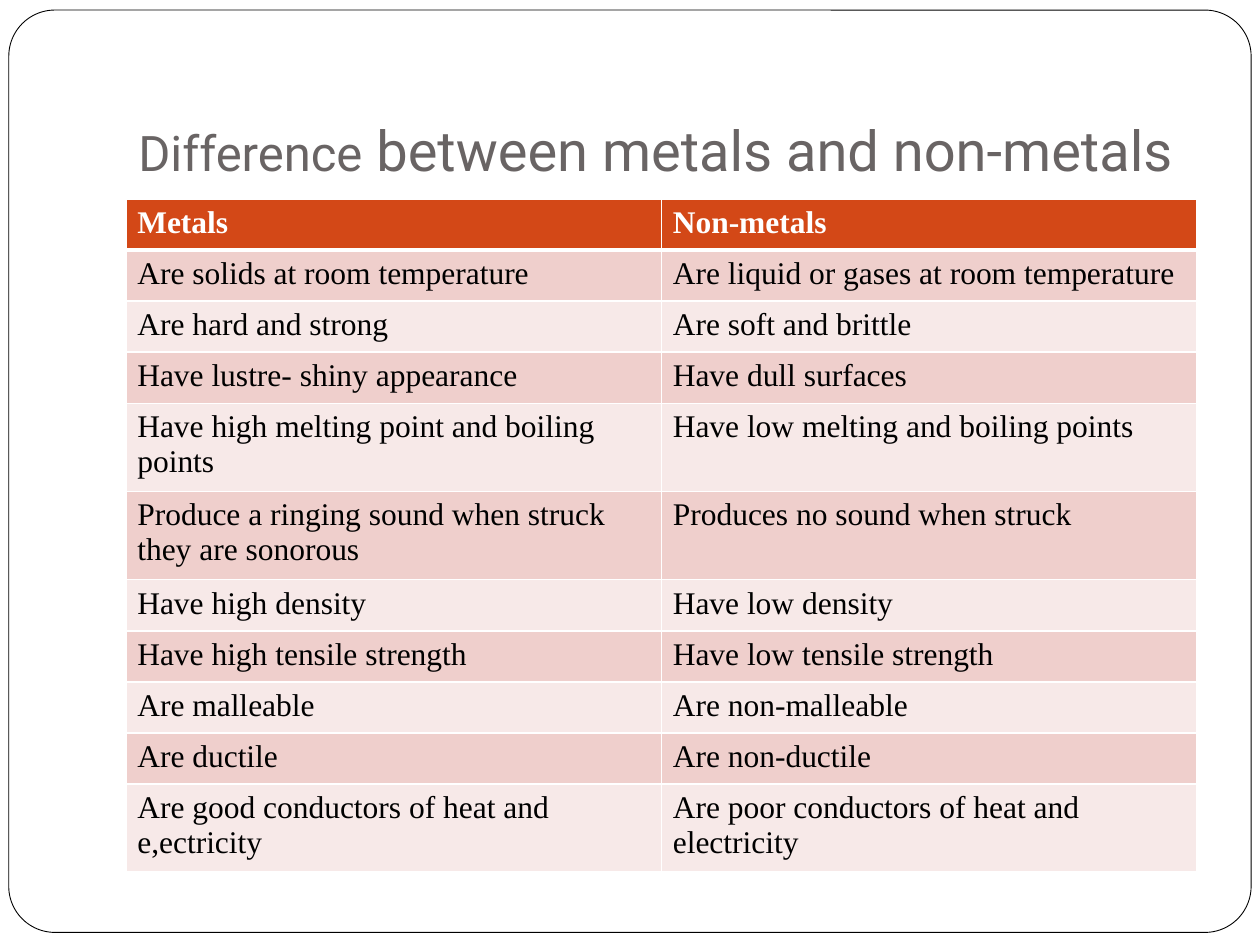
from lxml import etree
from pptx import Presentation
from pptx.dml.color import RGBColor
from pptx.enum.shapes import MSO_SHAPE
from pptx.enum.text import MSO_ANCHOR
from pptx.oxml.ns import qn
from pptx.util import Inches, Pt

ROUNDED = MSO_SHAPE.ROUNDED_RECTANGLE
BOTTOM = MSO_ANCHOR.BOTTOM

WHITE, BLACK, GREY = "FFFFFF", "000000", "696464"
HEADER_FILL = "D34817"
BAND_FILLS = ("F7E9E8", "EFCFCC")

TITLE_SPANS = [("Difference", 28), (" between metals and non-metals", 32)]
ROWS = [
    ("Metals", "Non-metals"),
    ("Are solids at room temperature", "Are liquid or gases at room temperature"),
    ("Are hard and strong", "Are soft and brittle"),
    ("Have lustre- shiny appearance", "Have dull surfaces"),
    ("Have high melting point and boiling points", "Have low melting and boiling points"),
    ("Produce a ringing sound when struck they are sonorous", "Produces no sound when struck"),
    ("Have high density", "Have low density"),
    ("Have high tensile strength", "Have low tensile strength"),
    ("Are malleable", "Are non-malleable"),
    ("Are ductile", "Are non-ductile"),
    ("Are good conductors of heat and e,ectricity", "Are poor conductors of heat and electricity"),
]


def color(hex_value):
    return RGBColor.from_string(hex_value)


def fill_solid(target, hex_value):
    target.fill.solid()
    target.fill.fore_color.rgb = color(hex_value)


def add_span(para, text, hex_value, **formats):
    span = para.add_run()
    span.text = text
    for name, value in formats.items():
        setattr(span.font, name, value)
    span.font.color.rgb = color(hex_value)


def add_frame(slide):
    frame = slide.shapes.add_shape(
        ROUNDED, Inches(0.07), Inches(0.08), Inches(9.86), Inches(7.32))
    frame.adjustments[0] = 0.05
    frame.shadow.inherit = False
    fill_solid(frame, WHITE)
    frame.line.color.rgb = color(BLACK)
    frame.line.width = Pt(0.5)


def add_title(slide):
    box = slide.shapes.add_textbox(Inches(1), Inches(0.3), Inches(8.5), Inches(1.25))
    settings = {"word_wrap": True, "vertical_anchor": BOTTOM, "margin_bottom": Inches(0.1)}
    for name, value in settings.items():
        setattr(box.text_frame, name, value)
    for text, size in TITLE_SPANS:
        add_span(box.text_frame.paragraphs[0], text, GREY, name="Roboto", size=Pt(size))


def set_borders(cell, widths):
    """Draw white cell borders; widths maps a side (L, R, T, B) to points."""
    properties = cell._tc.get_or_add_tcPr()
    for side, points in widths.items():
        line = etree.SubElement(properties, qn(f"a:ln{side}"), w=str(Pt(points)))
        solid = etree.SubElement(line, qn("a:solidFill"))
        etree.SubElement(solid, qn("a:srgbClr"), val=WHITE)


def add_comparison_table(slide):
    table = slide.shapes.add_table(
        len(ROWS), 2, Inches(1), Inches(1.58), Inches(8.5), Inches(4.46)).table
    for row_index, row in enumerate(ROWS):
        header = row_index == 0
        widths = {"L": 1, "R": 1, "T": 3 if row_index == 1 else 1, "B": 3 if header else 1}
        for column_index, text in enumerate(row):
            cell = table.cell(row_index, column_index)
            cell.margin_left = cell.margin_right = Inches(0.09)
            set_borders(cell, widths)
            fill_solid(cell, HEADER_FILL if header else BAND_FILLS[row_index % 2])
            add_span(cell.text_frame.paragraphs[0], text, WHITE if header else BLACK,
                     name="Times New Roman", size=Pt(18), bold=header)


def main():
    deck = Presentation()
    deck.slide_width, deck.slide_height = Inches(10), Inches(7.5)
    slide = deck.slides.add_slide(deck.slide_layouts[6])
    add_frame(slide)
    add_title(slide)
    add_comparison_table(slide)
    deck.save("out.pptx")


if __name__ == "__main__":
    main()
